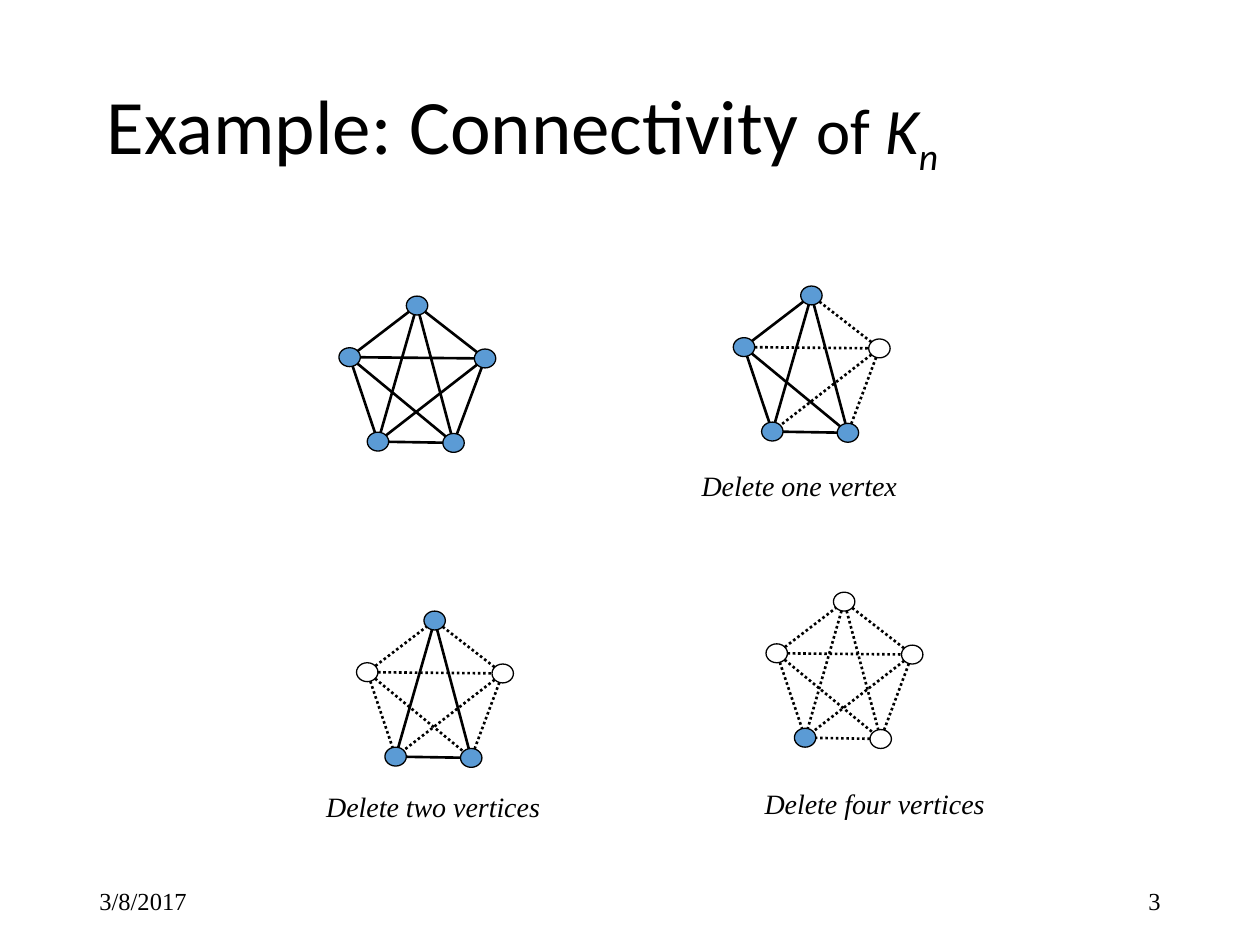
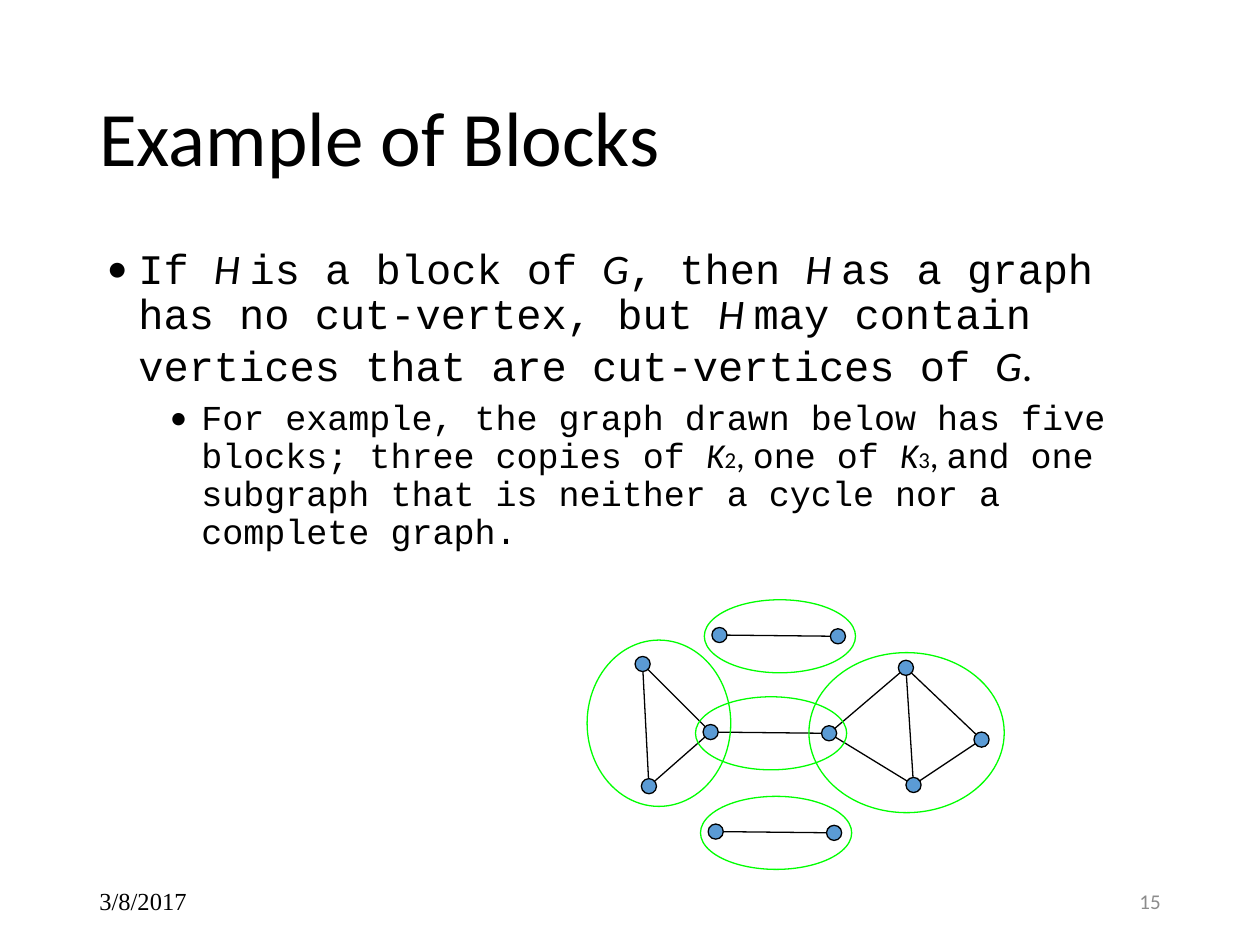
from dataclasses import dataclass, replace
from itertools import combinations
from math import hypot

from lxml.etree import SubElement
from pptx import Presentation
from pptx.dml.color import RGBColor
from pptx.enum.dml import MSO_LINE_DASH_STYLE as Dash
from pptx.enum.shapes import MSO_CONNECTOR, MSO_SHAPE
from pptx.enum.text import MSO_ANCHOR as Anchor, PP_ALIGN as Align
from pptx.oxml.ns import qn
from pptx.util import Inches, Pt

COLUMNS, ROWS = 100, 75


@dataclass(frozen=True)
class Style:
    size: float
    font: str
    color: str = "000000"
    italic: bool = False
    baseline: int = 0


@dataclass(frozen=True)
class Theme:
    ink: str = "000000"
    vertex: str = "5B9BD5"
    block: str = "00FF00"
    thin: float = 0.75
    thick: float = 1.5
    leading: float = 0.9
    title: Style = Style(44, "Calibri")
    caption: Style = Style(16, "Times New Roman", italic=True)
    footer: Style = Style(14, "Times New Roman")
    quiet_number: Style = Style(12, "Calibri", "8C8C8C")
    point: Style = Style(24, "Courier New")
    subpoint: Style = Style(20, "Courier New")


@dataclass(frozen=True)
class Box:
    x: float
    y: float
    w: float
    h: float

    def inside(self, x, y, w, h):
        return Box(self.x + x, self.y + y, w, h)

    def around(self, x, y, w, h):
        return self.inside(x - w / 2, y - h / 2, w, h)

    def emu(self):
        return [cells(value) for value in (self.x, self.y, self.w, self.h)]


THEME = Theme()
deck = Presentation()
deck.slide_width, deck.slide_height = Inches(10), Inches(7.5)
CELL = deck.slide_width / COLUMNS
PAGE = Box(0, 0, COLUMNS, ROWS)


def cells(count):
    return round(count * CELL)


def write(paragraph, pieces):
    for words, style in pieces:
        run = paragraph.add_run()
        run.text = words
        run.font.size = Pt(style.size)
        run.font.name = style.font
        run.font.italic = style.italic
        run.font.color.rgb = RGBColor.from_string(style.color)
        if style.baseline:
            run._r.get_or_add_rPr().set("baseline", str(style.baseline))


def text_area(slide, box, anchor=Anchor.TOP):
    frame = slide.shapes.add_textbox(*box.emu()).text_frame
    frame.word_wrap = True
    frame.vertical_anchor = anchor
    return frame


def line_of_text(slide, box, pieces, anchor=Anchor.MIDDLE, align=Align.LEFT, leading=None):
    paragraph = text_area(slide, box, anchor).paragraphs[0]
    paragraph.alignment = align
    paragraph.line_spacing = leading
    write(paragraph, pieces)


def title(slide, box, pieces):
    line_of_text(slide, box, pieces, leading=THEME.leading)


def footer(slide, box, number, number_style):
    width = 22.5
    line_of_text(slide, box.inside(0, 0, width, box.h), [("3/8/2017", THEME.footer)])
    line_of_text(slide, box.inside(box.w - width, 0, width, box.h),
                 [(number, number_style)], align=Align.RIGHT)


def bullets(slide, box, points):
    frame = text_area(slide, box)
    for level, (pieces, margin, gap) in enumerate(points):
        paragraph = frame.add_paragraph() if level else frame.paragraphs[0]
        paragraph.level = level
        paragraph.line_spacing = THEME.leading
        paragraph.space_before = Pt(gap)
        write(paragraph, pieces)
        properties = paragraph._p.get_or_add_pPr()
        properties.set("marL", str(cells(margin)))
        properties.set("indent", str(cells(-2.5)))
        SubElement(properties, qn("a:buFont")).set("typeface", "Calibri")
        SubElement(properties, qn("a:buChar")).set("char", "•")


def oval(group, box, fill, outline):
    ellipse = group.shapes.add_shape(MSO_SHAPE.OVAL, *box.emu())
    ellipse.shadow.inherit = False
    if fill:
        ellipse.fill.solid()
        ellipse.fill.fore_color.rgb = RGBColor.from_string(fill)
    else:
        ellipse.fill.background()
    ellipse.line.color.rgb = RGBColor.from_string(outline)
    ellipse.line.width = Pt(THEME.thin)


def edge(group, box, start, end, vertex_size, weight, dotted=False):
    dx, dy = end[0] - start[0], end[1] - start[1]
    trim = 1 / hypot(2 * dx / vertex_size[0], 2 * dy / vertex_size[1])
    ends = (box.x + start[0] + trim * dx, box.y + start[1] + trim * dy,
            box.x + end[0] - trim * dx, box.y + end[1] - trim * dy)
    line = group.shapes.add_connector(MSO_CONNECTOR.STRAIGHT, *map(cells, ends))
    line.line.color.rgb = RGBColor.from_string(THEME.ink)
    line.line.width = Pt(weight)
    if dotted:
        line.line.dash_style = Dash.ROUND_DOT
    SubElement(line._element.spPr, qn("a:effectLst"))


def complete_graph(slide, box, kept):
    size = (1.7, 1.5)
    vertices = {"left": (0.85, 4.85), "top": (6.2, 0.75), "right": (11.6, 4.95),
                "low right": (9.1, 11.65), "low left": (3.1, 11.55)}
    group = slide.shapes.add_group_shape()
    for place, centre in vertices.items():
        oval(group, box.around(*centre, *size), THEME.vertex if place in kept else None, THEME.ink)
    for start, end in combinations(vertices, 2):
        edge(group, box, vertices[start], vertices[end], size, THEME.thick,
             dotted=not {start, end} <= kept)


def block_graph(slide, box):
    size = (1.2, 1.2)
    bridges = [(8.6, 7.7), (9.3, 0), (9, 15.6)]
    bridge_ends = [(1.2, 2.8), (10.6, 2.9)]
    larger_blocks = [(0, 3.2, 11.4, 13.2), (17.6, 4.2, 15.5, 12.7)]
    pairs = [[(x + dx, y + dy) for dx, dy in bridge_ends] for x, y in bridges]
    left_cut, right_cut = pairs[0]
    triangle = [(4.4, 5.1), (4.9, 14.8), left_cut]
    top, bottom, far = (25.3, 5.4), (25.9, 14.7), (31.3, 11.1)
    edges = [*pairs, *combinations(triangle, 2), (right_cut, top), (right_cut, bottom),
             (top, far), (far, bottom), (top, bottom)]
    vertices = dict.fromkeys(vertex for ends in edges for vertex in ends)
    group = slide.shapes.add_group_shape()
    for vertex in vertices:
        oval(group, box.around(*vertex, *size), THEME.vertex, THEME.ink)
    for start, end in edges:
        edge(group, box, start, end, size, THEME.thin)
    for outline in larger_blocks + [(x, y, 12, 5.8) for x, y in bridges]:
        oval(group, box.inside(*outline), None, THEME.block)


def new_slide():
    return deck.slides.add_slide(deck.slide_layouts[6])


def connectivity_slide(page):
    slide = new_slide()
    small = replace(THEME.title, size=37)
    symbol = replace(small, italic=True)
    title(slide, page.inside(7.5, 5.4, 85, 9.4), [
        ("Example: Connectivity ", THEME.title), ("of ", small), ("K", symbol),
        ("n", replace(symbol, baseline=-25000))])
    everything = {"left", "top", "right", "low right", "low left"}
    graphs = [((26.9, 23.5), set()),
              ((58.2, 22.7), {"right"}),
              ((60.8, 47), everything - {"low left"}),
              ((28.3, 48.5), {"left", "right"})]
    for corner, deleted in graphs:
        complete_graph(slide, page.inside(*corner, 12.4, 12.4), everything - deleted)
    captions = [("Delete four vertices", 59.7, 61.9, 23.4),
                ("Delete one vertex", 54.7, 36.7, 19.1),
                ("Delete two vertices", 24.9, 62.2, 19.1)]
    for words, x, y, width in captions:
        line_of_text(slide, page.inside(x, y, width, 3.7), [(words, THEME.caption)], Anchor.TOP)
    footer(slide, page.inside(6.9, 69.5, 86.2, 4), "3", THEME.footer)


def blocks_slide(page):
    slide = new_slide()
    title(slide, page.inside(6.9, 4, 86.2, 14.5), [("Example of Blocks", THEME.title)])
    point, subpoint = THEME.point, THEME.subpoint
    plain = replace(point, font="Calibri")
    symbol = replace(plain, italic=True)
    subplain = replace(subpoint, font="Calibri")
    subsymbol = replace(subplain, italic=True)
    index = replace(subplain, size=13)
    definition = [
        ("If ", point), ("H ", symbol), ("is a block of ", point), ("G", symbol),
        (", then ", point), ("H ", symbol), ("as a graph has no cut-vertex, but ", point),
        ("H ", symbol), ("may contain vertices that are cut-vertices of ", point),
        ("G", symbol), (".", plain), (" ", replace(plain, size=28))]
    example = [
        ("For example, the graph drawn below has five blocks; three copies of ", subpoint),
        ("K", subsymbol), ("2", index), (", ", subplain), ("one of ", subpoint),
        ("K", subsymbol), ("3", index), (", ", subplain),
        ("and one subgraph that is neither a cycle nor a complete graph.", subpoint)]
    bullets(slide, page.inside(7.5, 19.2, 85, 27.7), [(definition, 2.5, 10), (example, 7.5, 5)])
    block_graph(slide, page.inside(46.6, 47.6, 33.1, 21.4))
    footer(slide, page.inside(6.9, 69.5, 86.2, 4), "15", THEME.quiet_number)


connectivity_slide(PAGE)
blocks_slide(PAGE)
deck.save("out.pptx")
